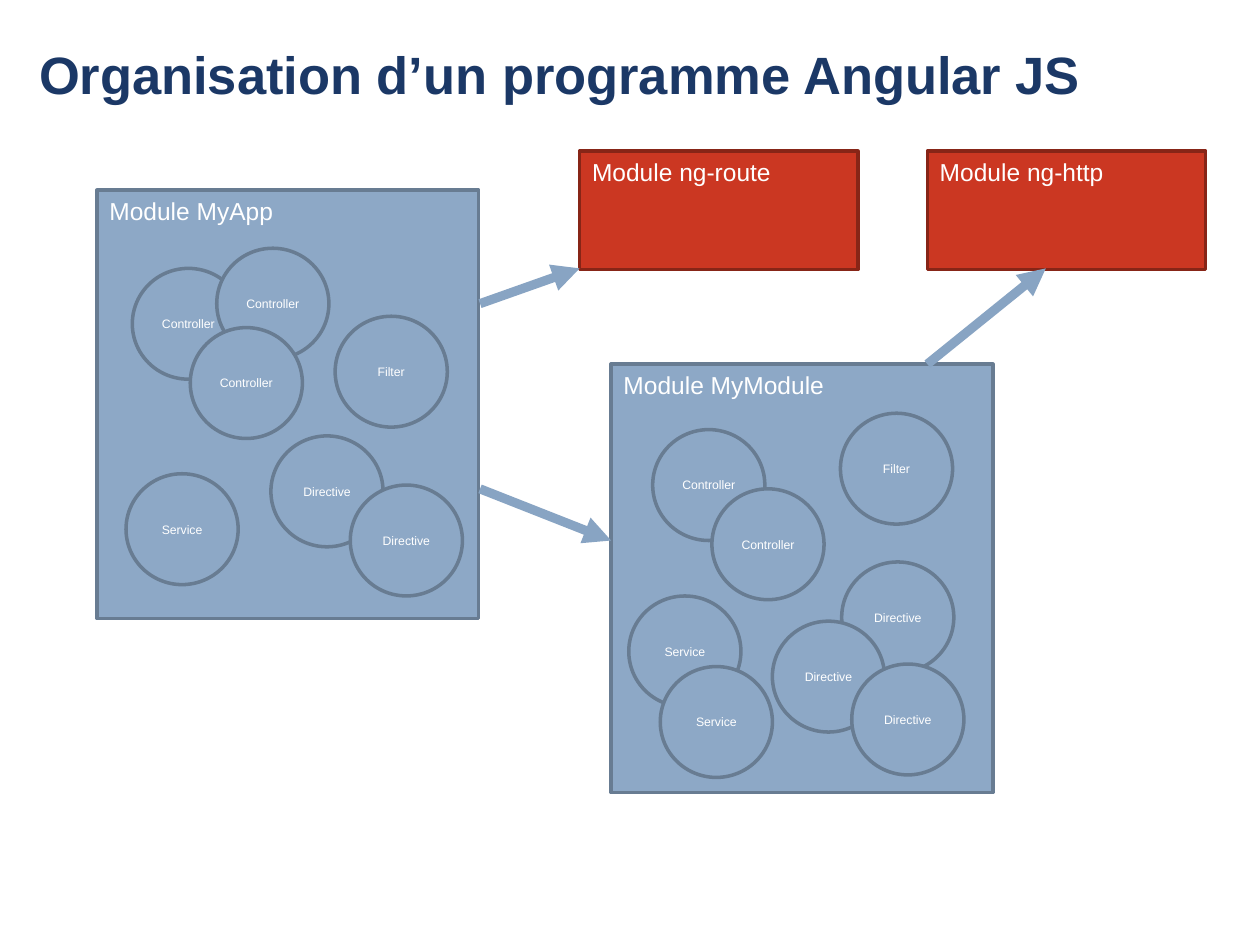
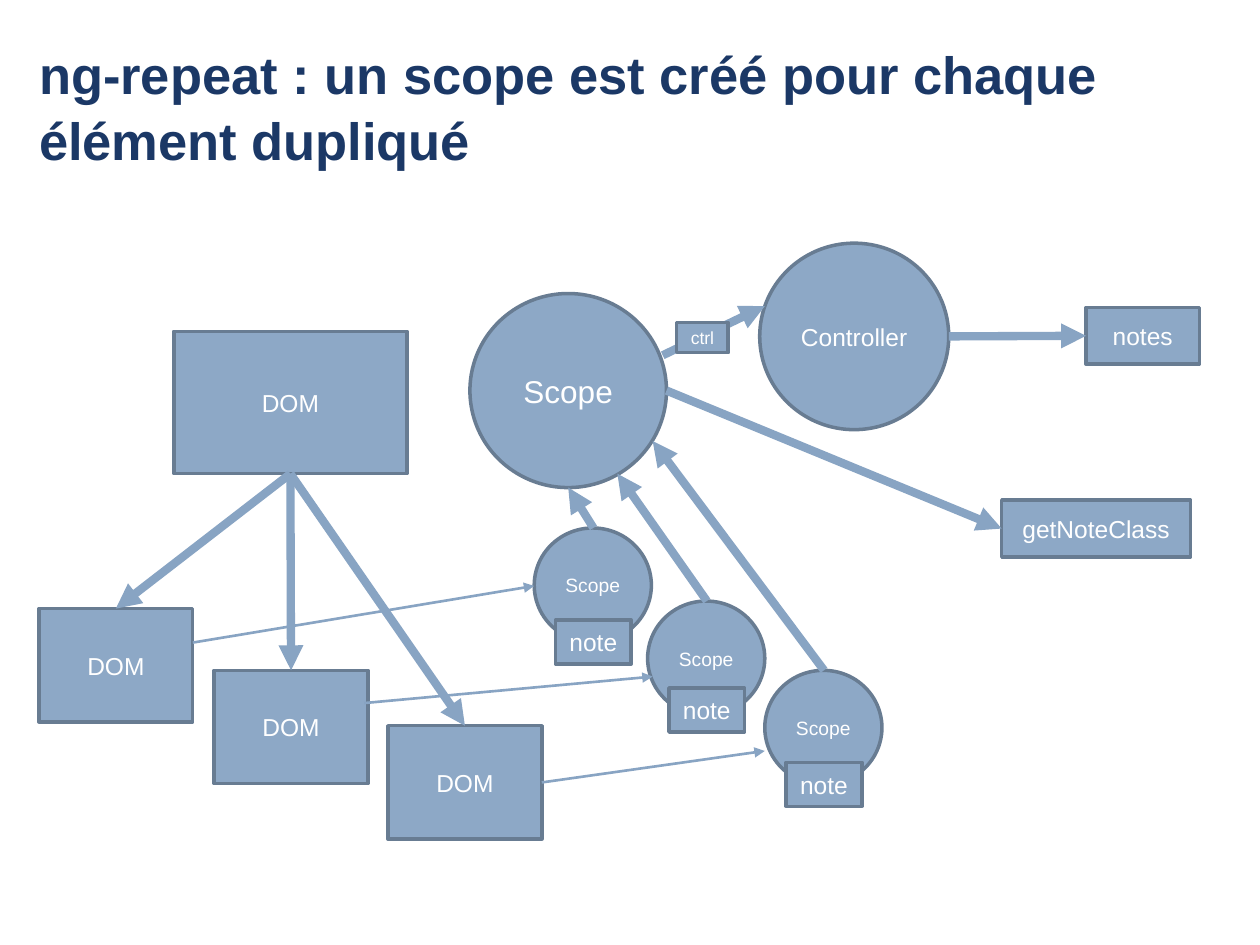
from pptx import Presentation
from pptx import util as u
from pptx.dml.color import RGBColor
from pptx.enum import shapes, text
from pptx.oxml import parse_xml
from pptx.oxml.ns import nsdecls

NAVY = RGBColor(0x1B, 0x38, 0x66)
BLUE = RGBColor(0x8D, 0xA8, 0xC6)
SLATE = RGBColor(0x68, 0x7C, 0x92)
RED = RGBColor(0xCB, 0x37, 0x22)
DARK_RED = RGBColor(0x87, 0x25, 0x17)
ARROW = RGBColor(0x88, 0xA4, 0xC3)
WHITE = RGBColor(0xFF, 0xFF, 0xFF)

FONT = "Arial"
RECT = shapes.MSO_SHAPE.RECTANGLE
OVAL = shapes.MSO_SHAPE.OVAL
TOP, LEFT, BOTTOM, RIGHT = range(4)


def set_font(p, size, color, bold=False):
    p.font.name = FONT
    p.font.size = u.Pt(size)
    p.font.color.rgb = color
    p.font.bold = bold


def clear_margins(tf):
    tf.margin_left = tf.margin_top = tf.margin_right = tf.margin_bottom = 0


def new_slide(prs, title):
    s = prs.slides.add_slide(prs.slide_layouts[5])
    sp = s.shapes.title
    sp.left, sp.top, sp.width, sp.height = map(u.Inches, (0.31, 0.31, 9.37, 0.94))
    tf = sp.text_frame
    tf.text = title
    tf.word_wrap = True
    tf.auto_size = text.MSO_AUTO_SIZE.NONE
    tf.vertical_anchor = text.MSO_ANCHOR.TOP
    clear_margins(tf)
    p = tf.paragraphs[0]
    p.alignment = text.PP_ALIGN.LEFT
    p.line_spacing = 1.05
    set_font(p, 30, NAVY, bold=True)
    return s


def add_node(s, kind, box, label, size=14, fill=BLUE, line=SLATE, centered=True):
    sp = s.shapes.add_shape(kind, *map(u.Inches, box))
    sp.shadow.inherit = False
    sp.fill.solid()
    sp.fill.fore_color.rgb = fill
    sp.line.color.rgb = line
    sp.line.width = u.Pt(2)
    tf = sp.text_frame
    tf.text = label
    p = tf.paragraphs[0]
    set_font(p, size, WHITE)
    if centered:
        clear_margins(tf)
        tf.vertical_anchor = text.MSO_ANCHOR.MIDDLE
        p.alignment = text.PP_ALIGN.CENTER
    else:
        tf.vertical_anchor = text.MSO_ANCHOR.TOP
        p.alignment = text.PP_ALIGN.LEFT
    return sp


def add_arrow(s, start, end, width=4.75, start_side=None, end_side=None):
    begin = (0, 0) if start_side is not None else start
    finish = (0, 0) if end_side is not None else end
    c = s.shapes.add_connector(shapes.MSO_CONNECTOR.STRAIGHT,
                               *map(u.Inches, (*begin, *finish)))
    if start_side is not None:
        c.begin_connect(start, start_side)
    if end_side is not None:
        c.end_connect(end, end_side)
    c.line.color.rgb = ARROW
    c.line.width = u.Pt(width)
    c.line._get_or_add_ln().append(
        parse_xml(f'<a:tailEnd {nsdecls("a")} type="triangle"/>'))
    c._element.spPr.append(parse_xml(f'<a:effectLst {nsdecls("a")}/>'))


def add_module(s, left, top, label, parts):
    add_node(s, RECT, (left, top, 3.03, 3.4), label, centered=False)
    for part, dx, dy in parts:
        add_node(s, OVAL, (left + dx, top + dy, 0.89, 0.88), part, size=7)


def add_library(s, left, top, label):
    add_node(s, RECT, (left, top, 2.21, 0.94), label,
             fill=RED, line=DARK_RED, centered=False)


def build_modules(prs):
    s = new_slide(prs, "Organisation d’un programme Angular JS")
    add_module(s, 0.77, 1.51, "Module MyApp", [
        ("Controller", 0.28, 0.62),
        ("Controller", 0.95, 0.46),
        ("Controller", 0.74, 1.09),
        ("Service", 0.23, 2.25),
        ("Filter", 1.89, 1.0),
        ("Directive", 1.38, 1.95),
        ("Directive", 2.01, 2.34),
    ])
    add_module(s, 4.85, 2.89, "Module MyModule", [
        ("Controller", 0.33, 0.52),
        ("Controller", 0.8, 0.99),
        ("Directive", 1.83, 1.57),
        ("Directive", 1.28, 2.04),
        ("Directive", 1.91, 2.38),
        ("Filter", 1.82, 0.39),
        ("Service", 0.14, 1.84),
        ("Service", 0.39, 2.4),
    ])
    add_library(s, 4.6, 1.2, "Module ng-route")
    add_library(s, 7.36, 1.2, "Module ng-http")
    for start, end in [((3.81, 2.41), (4.6, 2.13)),
                       ((3.81, 3.88), (4.85, 4.29)),
                       ((7.36, 2.89), (8.3, 2.13))]:
        add_arrow(s, start, end, width=5.25)


def add_dom_tree(s, left, top):
    root = add_node(s, RECT, (left + 1.07, top, 1.85, 1.13), "DOM")
    children = []
    for dx, dy in [(0, 2.2), (1.39, 2.69), (2.77, 3.13)]:
        child = add_node(s, RECT, (left + dx, top + dy, 1.22, 0.9), "DOM")
        add_arrow(s, root, child, start_side=BOTTOM, end_side=TOP)
        children.append(child)
    return children


def add_main_scope(s, left, top):
    add_node(s, OVAL, (left + 2.3, top, 1.5, 1.48), "Controller")
    add_node(s, OVAL, (left, top + 0.4, 1.56, 1.54), "Scope", size=18)
    notes = add_node(s, RECT, (left + 4.89, top + 0.51, 0.9, 0.45), "notes")
    note_class = add_node(s, RECT, (left + 4.22, top + 2.04, 1.5, 0.45), "getNoteClass")
    add_arrow(s, (left + 3.8, top + 0.74), notes, end_side=LEFT)
    add_arrow(s, (left + 1.56, top + 1.17), note_class, end_side=LEFT)
    add_arrow(s, (left + 1.53, top + 0.89), (left + 2.34, top + 0.5))
    add_node(s, RECT, (left + 1.64, top + 0.63, 0.41, 0.24), "ctrl", size=10)


def add_child_scope(s, left, top, parent_point, note_dy):
    add_node(s, OVAL, (left, top, 0.93, 0.91), "Scope", size=11)
    add_arrow(s, (left + 0.47, top), parent_point)
    add_node(s, RECT, (left + 0.17, top + note_dy, 0.6, 0.35), "note")


def build_scopes(prs):
    s = new_slide(prs, "ng-repeat : un scope est créé pour chaque élément dupliqué")
    last_dom = add_dom_tree(s, 0.31, 2.63)[-1]
    add_main_scope(s, 3.73, 1.93)
    for left, top, parent_point, note_dy in [
        (4.24, 4.19, (4.51, 3.87), 0.73),
        (5.14, 4.77, (4.9, 3.76), 0.69),
        (6.07, 5.32, (5.18, 3.5), 0.73),
    ]:
        add_child_scope(s, left, top, parent_point, note_dy)
    add_arrow(s, (1.53, 5.1), (4.24, 4.65), width=1.5)
    add_arrow(s, (2.89, 5.58), (5.18, 5.37), width=1.5)
    add_arrow(s, last_dom, (6.07, 5.96), width=1.5, start_side=RIGHT)


def main():
    prs = Presentation()
    prs.slide_width, prs.slide_height = u.Inches(10), u.Inches(7.5)
    build_modules(prs)
    build_scopes(prs)
    prs.save("out.pptx")


if __name__ == "__main__":
    main()
